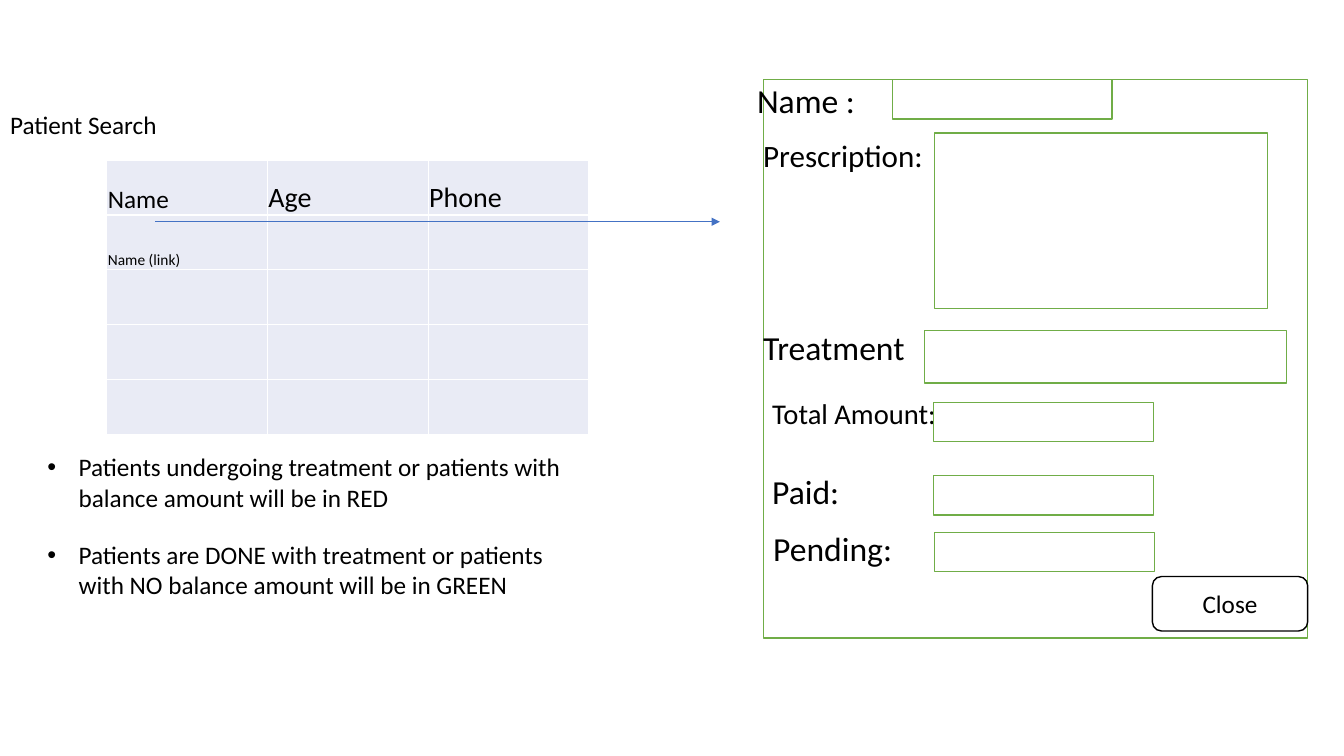
from lxml.etree import SubElement
from pptx import Presentation
from pptx.dml.color import RGBColor
from pptx.enum.shapes import MSO_CONNECTOR, MSO_SHAPE
from pptx.enum.text import MSO_ANCHOR, MSO_AUTO_SIZE, PP_ALIGN
from pptx.oxml import parse_xml
from pptx.oxml.ns import nsdecls, qn
from pptx.util import Emu, Pt

PX = 9144  # 100 px to the inch
COLORS = {"text": "000000", "paper": "FFFFFF", "cell": "E9EBF5",
          "field": "70AD47", "arrow": "4472C4"}
RGB = {name: RGBColor.from_string(code) for name, code in COLORS.items()}


def write(frame, text, size=18, align=PP_ALIGN.LEFT, anchor=MSO_ANCHOR.TOP,
          line=1.0, before=0, after=0):
    """Fill a text frame, one paragraph for each line of text."""
    frame.text = text
    frame.word_wrap = True
    frame.vertical_anchor = anchor
    for para in frame.paragraphs:
        para.alignment = align
        para.line_spacing = line
        para.space_before, para.space_after = Pt(before), Pt(after)
        font = para.runs[0].font
        font.name, font.size, font.color.rgb = "Calibri", Pt(size), RGB["text"]


def outline(kind, spot, color):
    """Add a white shape with a thin outline."""
    shape = slide.shapes.add_shape(kind, *[n * PX for n in spot])
    shape.shadow.inherit = False
    shape.fill.solid()
    shape.fill.fore_color.rgb = RGB["paper"]
    shape.line.color.rgb = RGB[color]
    shape.line.width = Pt(1)
    return shape


deck = Presentation()
deck.slide_width, deck.slide_height = Emu(1333 * PX), Emu(750 * PX)
slide = deck.slides.add_slide(deck.slide_layouts[1])

# Title and list
title, notes = slide.placeholders
for holder, spot in ((title, (0, 91, 431, 68)), (notes, (37, 443, 530, 159))):
    holder.left, holder.top, holder.width, holder.height = [
        Emu(n * PX) for n in spot]
    holder.text_frame.auto_size = MSO_AUTO_SIZE.NONE
write(title.text_frame, "Patient Search", anchor=MSO_ANCHOR.MIDDLE, line=0.9)
write(notes.text_frame,
      "Patients undergoing treatment or patients with balance amount "
      "will be in RED\n"
      "Patients are DONE with treatment or patients with NO balance amount "
      "will be in GREEN", after=19.4)
for para in notes.text_frame.paragraphs:
    props = para._p.get_or_add_pPr()
    props.set("marL", str(31 * PX))
    props.set("indent", str(-31 * PX))
    SubElement(props, qn("a:buFont")).set("typeface", "Arial")
    SubElement(props, qn("a:buChar")).set("char", "•")

# Patient table
grid = slide.shapes.add_table(
    5, 3, 106 * PX, 159 * PX, 478 * PX, 272 * PX).table
grid.first_row = grid.horz_banding = False
words = {(0, 0): ("Name", 18), (0, 1): ("Age", 20), (0, 2): ("Phone", 20),
         (1, 0): ("Name (link)", 11)}
for row in range(5):
    for col in range(3):
        cell = grid.cell(row, col)
        cell.fill.solid()
        cell.fill.fore_color.rgb = RGB["cell"]
        for i, side in enumerate("LRTB"):
            cell._tc.get_or_add_tcPr().insert(i, parse_xml(
                f'<a:ln{side} {nsdecls("a")} w="12700"><a:solidFill>'
                f'<a:srgbClr val="{COLORS["paper"]}"/>'
                f'</a:solidFill></a:ln{side}>'))
        if (row, col) in words:
            text, size = words[row, col]
            write(cell.text_frame, text, size=size)
            cell.vertical_anchor = MSO_ANCHOR.BOTTOM
            cell.margin_left = cell.margin_right = cell.margin_top = Emu(PX)
            cell.margin_bottom = Emu(0)

# Arrow from the name link to the form
arrow = slide.shapes.add_connector(
    MSO_CONNECTOR.STRAIGHT, 154 * PX, 220 * PX, 714 * PX, 220 * PX)
arrow.line.color.rgb = RGB["arrow"]
arrow.line.width = Pt(0.5)
SubElement(arrow.line._get_or_add_ln(), qn("a:tailEnd")).set("type", "triangle")
SubElement(arrow._element.spPr, qn("a:effectLst"))

# Patient form: label, place, size, line spacing, field
outline(MSO_SHAPE.RECTANGLE, (757, 79, 540, 554), "field")
form = (
    ("Name :", 741, 79, 24, 0.9, (885, 79, 218, 39)),
    ("Prescription:", 747, 135, 22.2, 0.9, (927, 132, 330, 174)),
    ("Treatment", 747, 324, 24, 0.9, (917, 328, 359, 52)),
    ("Total Amount:", 756, 394, 20.4, 0.8, (926, 399, 218, 39)),
    ("Paid:", 756, 467, 24, 0.9, (926, 472, 218, 39)),
    ("Pending:", 757, 523, 24, 0.9, (927, 528, 218, 39)),
)
for text, left, top, size, line, field in form:
    label = slide.shapes.add_textbox(left * PX, top * PX, 185 * PX, 49 * PX)
    write(label.text_frame, text, size=size, line=line, before=10,
          align=PP_ALIGN.JUSTIFY)
    outline(MSO_SHAPE.RECTANGLE, field, "field")

close = outline(MSO_SHAPE.ROUNDED_RECTANGLE, (1143, 572, 154, 54), "text")
write(close.text_frame, "Close", align=PP_ALIGN.CENTER,
      anchor=MSO_ANCHOR.MIDDLE)

deck.save("out.pptx")
